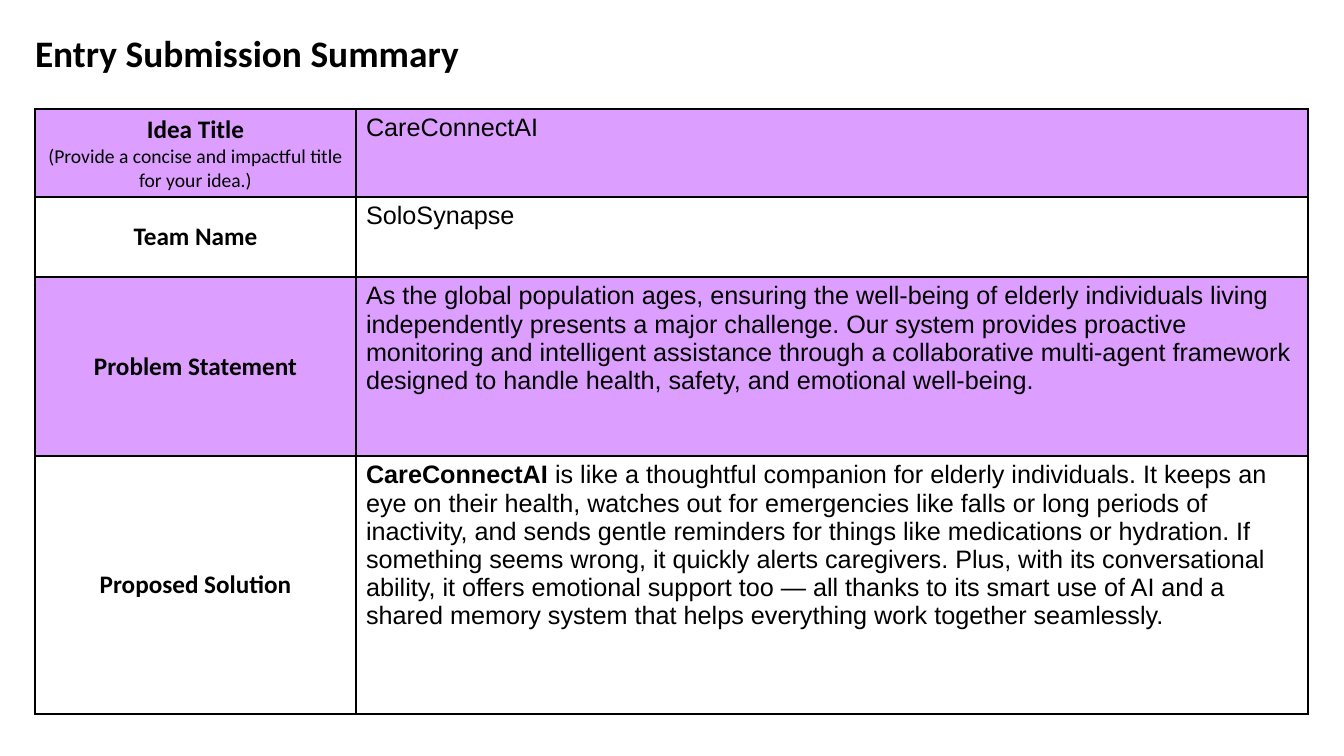
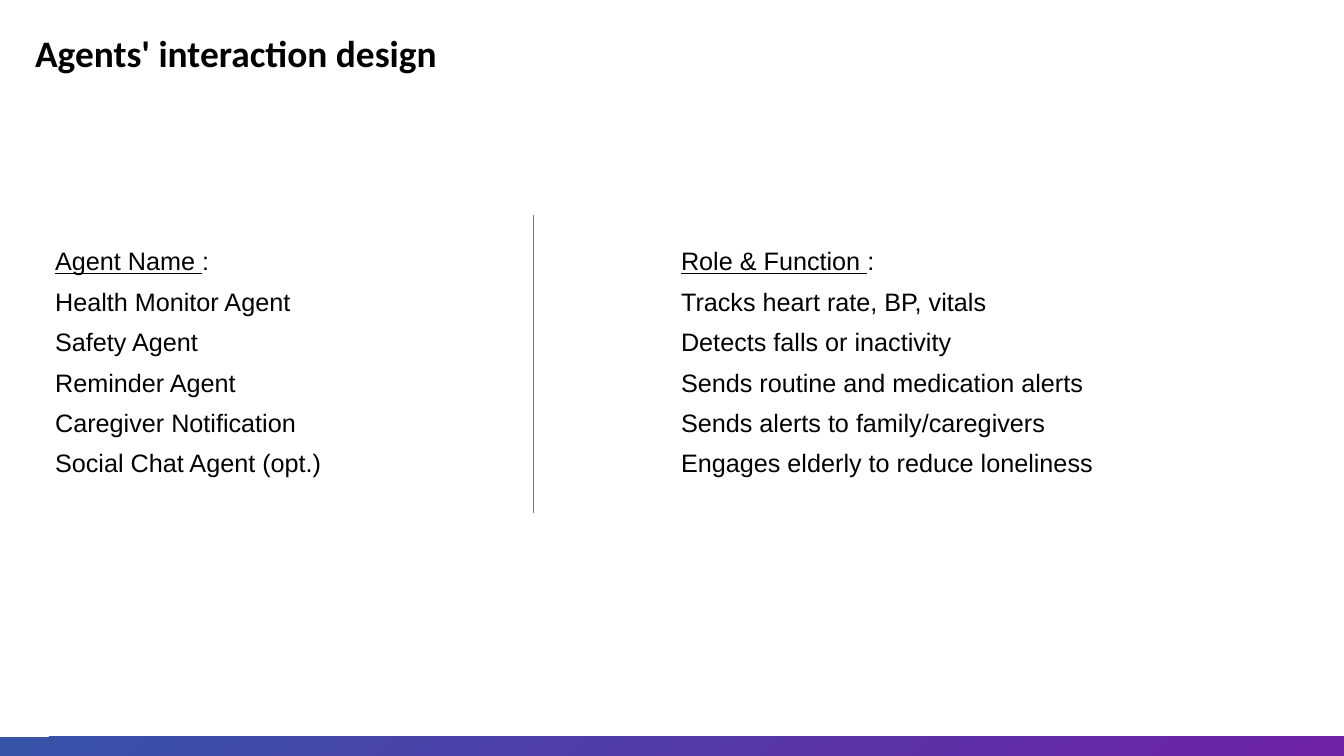
import pptx
import pptx.dml.color
import pptx.enum.shapes
import pptx.enum.text
import pptx.oxml
import pptx.oxml.ns
import pptx.util

BLACK = pptx.dml.color.RGBColor(0x00, 0x00, 0x00)
WHITE = pptx.dml.color.RGBColor(0xFF, 0xFF, 0xFF)
LILAC = pptx.dml.color.RGBColor(0xDD, 0x9F, 0xFF)
LINE_BLUE = pptx.dml.color.RGBColor(0x3C, 0x81, 0xF3)
BAND_BLUE = pptx.dml.color.RGBColor(0x37, 0x54, 0xA9)
BAND_PURPLE = pptx.dml.color.RGBColor(0x6F, 0x21, 0xA8)

PAGE_WIDTH, PAGE_HEIGHT = 1344, 756
MIDDLE = pptx.enum.text.MSO_ANCHOR.MIDDLE
CENTER = pptx.enum.text.PP_ALIGN.CENTER


def px(*lengths):
    """Turn px (100.8 to the inch) into a list of EMU."""
    return [pptx.util.Emu(round(length * 914400 / 100.8)) for length in lengths]


def write(para, text, font="Arial", size=18, bold=False, underline=False):
    """Append one formatted span to a paragraph."""
    span = para.add_run()
    span.text = text
    span.font.name = font
    span.font.size = pptx.util.Pt(size)
    span.font.bold = bold
    span.font.underline = underline
    span.font.color.rgb = BLACK


deck = pptx.Presentation()
deck.slide_width, deck.slide_height = px(PAGE_WIDTH, PAGE_HEIGHT)

# Both pages carry the same title style
pages = []
for title in ("Entry Submission Summary", "Agents' interaction design"):
    page = deck.slides.add_slide(deck.slide_layouts[6])
    box = page.shapes.add_textbox(*px(35, 39, 1239, 94))
    frame = box.text_frame
    frame.word_wrap = True
    frame.margin_left = frame.margin_top = frame.margin_bottom = 0
    frame.margin_right = px(13)[0]
    para = frame.paragraphs[0]
    para.line_spacing = 0.8
    write(para, title, font="Calibri", size=26.7, bold=True)
    pages.append(page)
summary_page, agents_page = pages

# Entry summary: label, hint, bold lead, body, row height
summary_rows = [
    ("Idea Title", "(Provide a concise and impactful title for your idea.)",
     "", "CareConnectAI", 88),
    ("Team Name", "", "", "SoloSynapse", 80),
    ("Problem Statement", "", "",
     "As the global population ages, ensuring the well-being of elderly individuals "
     "living independently presents a major challenge. Our system provides proactive "
     "monitoring and intelligent assistance through a collaborative multi-agent "
     "framework designed to handle health, safety, and emotional well-being.", 179),
    ("Proposed Solution", "", "CareConnectAI",
     " is like a thoughtful companion for elderly individuals. It keeps an eye on their "
     "health, watches out for emergencies like falls or long periods of inactivity, and "
     "sends gentle reminders for things like medications or hydration. If something "
     "seems wrong, it quickly alerts caregivers. Plus, with its conversational ability, "
     "it offers emotional support too — all thanks to its smart use of AI and a shared "
     "memory system that helps everything work together seamlessly.", 258),
]
summary_widths = (321, 952)
summary_height = sum(row[-1] for row in summary_rows)
table = summary_page.shapes.add_table(
    len(summary_rows), 2, *px(35, 109, sum(summary_widths), summary_height)).table
table.first_row = table.horz_banding = False
for column, width in zip(table.columns, px(*summary_widths)):
    column.width = width

for index, (label, hint, lead, body, height) in enumerate(summary_rows):
    table.rows[index].height = px(height)[0]
    label_cell, body_cell = table.rows[index].cells

    label_cell.vertical_anchor = MIDDLE
    para = label_cell.text_frame.paragraphs[0]
    para.alignment = CENTER
    write(para, label, font="Calibri", bold=True)
    if hint:
        para.add_line_break()
        write(para, hint, font="Calibri", size=14)

    para = body_cell.text_frame.paragraphs[0]
    if lead:
        write(para, lead, bold=True)
    write(para, body)

    for cell in (label_cell, body_cell):
        properties = cell._tc.get_or_add_tcPr()
        for side in ("lnL", "lnR", "lnT", "lnB"):
            properties.append(pptx.oxml.parse_xml(
                f'<a:{side} {pptx.oxml.ns.nsdecls("a")} w="12700"><a:solidFill>'
                f'<a:srgbClr val="{BLACK}"/></a:solidFill></a:{side}>'))
        cell.fill.solid()
        cell.fill.fore_color.rgb = WHITE if index % 2 else LILAC

# Agents page: gradient band along the bottom
band_height = 19
band = agents_page.shapes.add_shape(
    pptx.enum.shapes.MSO_SHAPE.RECTANGLE,
    *px(0, PAGE_HEIGHT - band_height, PAGE_WIDTH, band_height))
band.shadow.inherit = False
band.line.fill.background()
band.fill.gradient()
band.fill.gradient_angle = 315
for stop, color in zip(band.fill.gradient_stops, (BAND_BLUE, BAND_PURPLE)):
    stop.color.rgb = color

# Agents and their roles, the first row being the headings
agent_rows = [
    ("Agent Name ", "Role & Function "),
    ("Health Monitor Agent", "Tracks heart rate, BP, vitals"),
    ("Safety Agent", "Detects falls or inactivity"),
    ("Reminder Agent", "Sends routine and medication alerts"),
    ("Caregiver Notification", "Sends alerts to family/caregivers"),
    ("Social Chat Agent (opt.)", "Engages elderly to reduce loneliness"),
]
row_height = 38
table = agents_page.shapes.add_table(
    len(agent_rows), 2, *px(45, 242, 1252, row_height * len(agent_rows))).table
table.first_row = table.horz_banding = False
for index, texts in enumerate(agent_rows):
    is_heading = index == 0
    for cell, text in zip(table.rows[index].cells, texts):
        cell.vertical_anchor = MIDDLE
        cell.fill.background()
        para = cell.text_frame.paragraphs[0]
        write(para, text, underline=is_heading)
        if is_heading:
            write(para, ":")

divider = agents_page.shapes.add_connector(
    pptx.enum.shapes.MSO_CONNECTOR.STRAIGHT, *px(534, 215, 534, 513))
divider.line.color.rgb = LINE_BLUE
divider.line.width = pptx.util.Pt(0.75)
divider._element.spPr.append(
    pptx.oxml.parse_xml(f'<a:effectLst {pptx.oxml.ns.nsdecls("a")}/>'))

deck.save("out.pptx")
